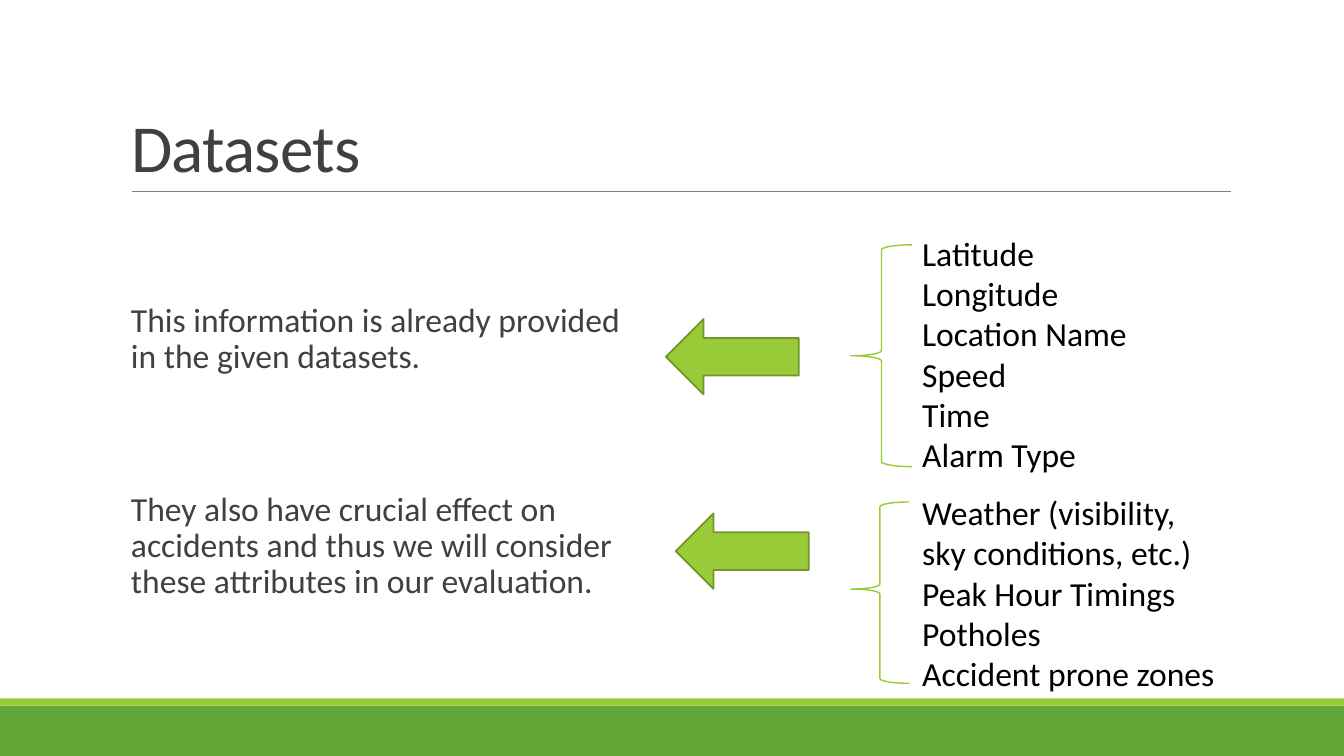
from lxml.etree import SubElement
from pptx import Presentation
from pptx.dml.color import RGBColor
from pptx.enum.shapes import MSO_CONNECTOR, MSO_SHAPE
from pptx.enum.text import MSO_ANCHOR, MSO_AUTO_SIZE, PP_ALIGN
from pptx.oxml.ns import qn
from pptx.util import Cm, Pt

# Content; boxes are left, top, width, height in cm
TITLE = "Datasets"
GROUPS = [
    {
        "note": "This information is already provided in the given datasets.",
        "note_box": (3.05, 7.52, 13.03, 4.04),
        "arrow": (16.78, 8.04),
        "brace": (21.44, 6.17, 1.55, 5.59),
        "tip": 0.5,
        "items": ["Latitude", "Longitude", "Location Name", "Speed", "Time",
                  "Alarm Type"],
        "list_box": (22.99, 5.74, 8, 6.4),
    },
    {
        "note": "They also have crucial effect on accidents and thus we will "
                "consider these attributes in our evaluation.",
        "note_box": (3.05, 12.27, 13.72, 4.04),
        "arrow": (17.03, 12.94),
        "brace": (21.44, 12.65, 1.47, 4.57),
        "tip": 0.48,
        "items": ["Weather (visibility, sky conditions, etc.)",
                  "Peak Hour Timings", "Potholes", "Accident prone zones"],
        "list_box": (22.99, 12.27, 8, 5.38),
    },
]
BARS = [((0, 17.78, 33.87, 1.27), "63A537"), ((0, 17.6, 33.87, 0.18), "99CB38")]
ARROW_SIZE = (3.35, 1.9)
LIME, OLIVE, GREY, DARK, BLACK = "99CB38", "719629", "808080", "404040", "000000"


def paint(target, color):
    target.rgb = RGBColor.from_string(color)


def place(shape, box):
    shape.left, shape.top, shape.width, shape.height = map(Cm, box)


def style(frame, size, color):
    frame.word_wrap = True
    for para in frame.paragraphs:
        para.alignment = PP_ALIGN.LEFT
        for run in para.runs:
            run.font.name, run.font.size = "Calibri", Pt(size)
            paint(run.font.color, color)


def draw(kind, box, fill=None, line=None, width=1):
    shape = slide.shapes.add_shape(kind, *map(Cm, box))
    shape.shadow.inherit = False
    if fill:
        shape.fill.solid()
        paint(shape.fill.fore_color, fill)
    else:
        shape.fill.background()
    if line:
        paint(shape.line.color, line)
        shape.line.width = Pt(width)
    else:
        shape.line.fill.background()
    return shape


def write_note(holder, text, box):
    place(holder, box)
    frame = holder.text_frame
    frame.text = text
    frame.auto_size = MSO_AUTO_SIZE.NONE
    frame.vertical_anchor = MSO_ANCHOR.TOP
    frame.margin_left = frame.margin_right = 0
    style(frame, 24, DARK)
    para = frame.paragraphs[0]
    para.line_spacing = 0.9
    para.space_before, para.space_after = Pt(12), Pt(2)
    # Plain indent without a bullet
    props = para._p.get_or_add_pPr()
    props.set("marL", str(Cm(0.25)))
    props.set("indent", "0")
    SubElement(props, qn("a:buNone"))


deck = Presentation()
deck.slide_width, deck.slide_height = Cm(33.87), Cm(19.05)
slide = deck.slides.add_slide(deck.slide_layouts[3])

# Footer bars and title rule
for box, color in BARS:
    draw(MSO_SHAPE.RECTANGLE, box, color)
rule = slide.shapes.add_connector(
    MSO_CONNECTOR.STRAIGHT, Cm(3.33), Cm(4.83), Cm(31.01), Cm(4.83))
paint(rule.line.color, GREY)
rule.line.width = Pt(0.5)
SubElement(rule._element.spPr, qn("a:effectLst"))

# Title
title = slide.shapes.title
place(title, (3.05, 0.79, 27.94, 4.04))
head = title.text_frame
head.text = TITLE
head.auto_size = MSO_AUTO_SIZE.NONE
head.vertical_anchor = MSO_ANCHOR.BOTTOM
style(head, 48, DARK)
head.paragraphs[0].line_spacing = 0.85
head.paragraphs[0].runs[0].font._element.set("spc", "-50")

# Each group: note, arrow, brace and attribute list
for spot, group in enumerate(GROUPS, 1):
    write_note(slide.placeholders[spot], group["note"], group["note_box"])
    draw(MSO_SHAPE.LEFT_ARROW, group["arrow"] + ARROW_SIZE, LIME, OLIVE, 1.25)
    brace = draw(MSO_SHAPE.LEFT_BRACE, group["brace"], line=LIME)
    brace.adjustments[1] = group["tip"]
    area = slide.shapes.add_textbox(*map(Cm, group["list_box"]))
    area.text_frame.text = "\n".join(group["items"])
    style(area.text_frame, 24, BLACK)

deck.save("out.pptx")
